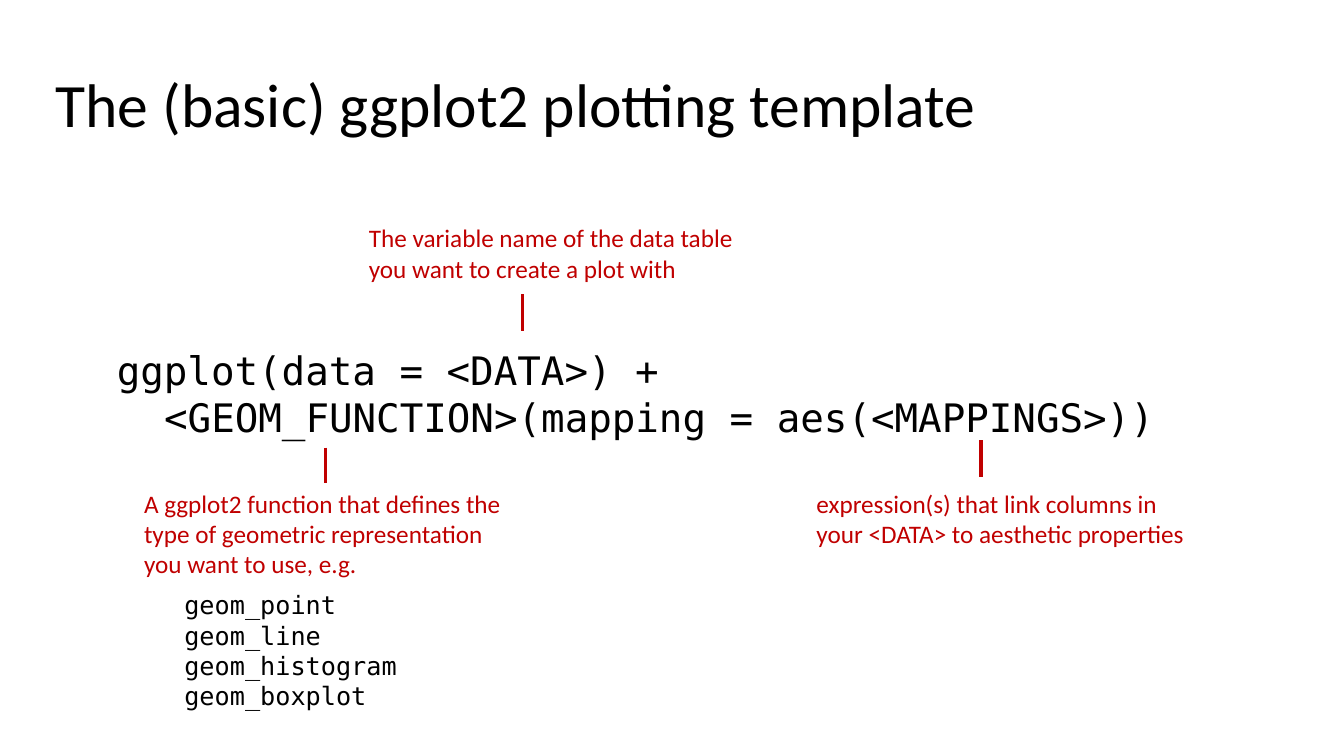
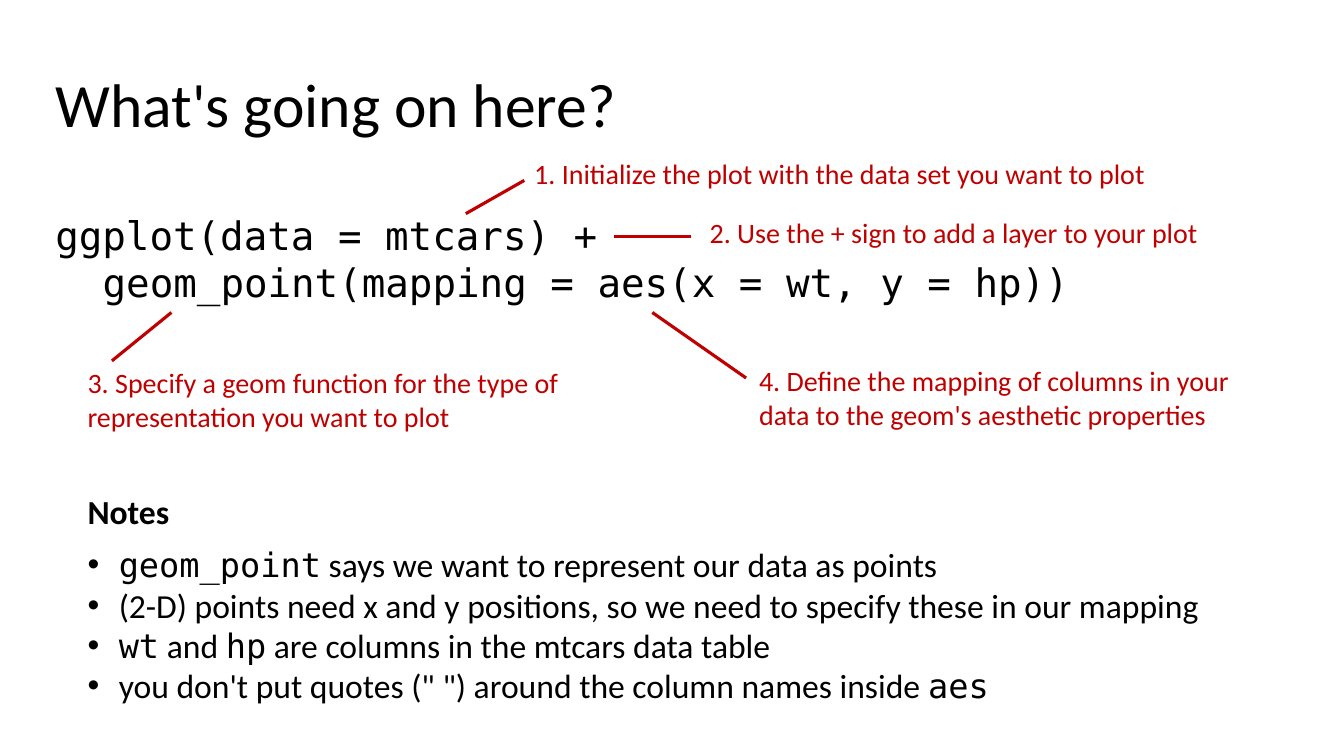
import pptx
import pptx.dml.color
import pptx.enum.shapes
import pptx.enum.text
import pptx.oxml
import pptx.oxml.ns
import pptx.util
from pptx.util import Inches

BLACK = pptx.dml.color.RGBColor(0, 0, 0)
RED = pptx.dml.color.RGBColor(0xC0, 0, 0)
BODY = "Calibri"
CODE = "DejaVu Sans Mono"
NS = pptx.oxml.ns.nsdecls("a")

deck = pptx.Presentation()
deck.slide_width = Inches(13.33)
deck.slide_height = Inches(7.5)


def write(shape, box, lines, size, font=BODY, color=BLACK):
    """Place a shape and fill it; text between backticks is set as code."""
    shape.left, shape.top, shape.width, shape.height = map(Inches, box)
    frame = shape.text_frame
    frame.word_wrap = True
    frame.text = "\n".join(lines)
    for para, line in zip(frame.paragraphs, lines):
        para.text = ""
        for i, part in enumerate(line.split("`")):
            if part:
                run = para.add_run()
                run.text = part
                run.font.name = CODE if i % 2 else font
                run.font.size = pptx.util.Pt(size)
                run.font.color.rgb = color
    return frame


def link(slide, x1, y1, x2, y2):
    line = slide.shapes.add_connector(
        pptx.enum.shapes.MSO_CONNECTOR.STRAIGHT,
        Inches(x1), Inches(y1), Inches(x2), Inches(y2))
    line.line.color.rgb = RED
    line.line.width = pptx.util.Pt(2.25)
    line._element.spPr.append(pptx.oxml.parse_xml(f"<a:effectLst {NS}/>"))


# Title, code position and lines, note size, notes, links
pages = [
    ("The (basic) ggplot2 plotting template", (1.06, 3.39),
     ["ggplot(data = <DATA>) +",
      "<GEOM_FUNCTION>(mapping = aes(<MAPPINGS>))"],
     18,
     [((3.56, 2.16, 3.85, 0.71),
       "The variable name of the data table you want to create a plot with"),
      ((1.33, 4.79, 3.85, 1.01),
       "A ggplot2 function that defines the type of geometric "
       "representation you want to use, e.g."),
      ((8, 4.79, 4, 0.71),
       "expression(s) that link columns in your <DATA> to aesthetic "
       "properties")],
     [(5.18, 2.92, 5.18, 3.28), (3.23, 4.44, 3.23, 4.79),
      (9.73, 4.37, 9.73, 4.73)]),
    ("What's going on here?", (0.45, 2.05),
     ["ggplot(data = mtcars) +",
      "geom_point(mapping = aes(x = wt, y = hp))"],
     20,
     [((5.2, 1.5, 6.42, 0.44),
       "1. Initialize the plot with the data set you want to plot"),
      ((6.94, 2.09, 5.15, 0.44),
       "2. Use the + sign to add a layer to your plot"),
      ((0.77, 3.58, 4.92, 0.77),
       "3. Specify a geom function for the type of representation you "
       "want to plot"),
      ((7.43, 3.56, 4.92, 0.77),
       "4. Define the mapping of columns in your data to the geom's "
       "aesthetic properties")],
     [(5.2, 1.79, 4.62, 2.12), (6.85, 2.35, 6.09, 2.35),
      (1.11, 3.58, 1.7, 3.1), (7.4, 3.75, 6.47, 3.1)]),
]

slides = []
for title, spot, code, size, notes, links in pages:
    slide = deck.slides.add_slide(deck.slide_layouts[5])
    slides.append(slide)
    frame = write(slide.shapes.title, (0.45, 0.65, 12.42, 0.84), [title], 44)
    frame.auto_size = pptx.enum.text.MSO_AUTO_SIZE.NONE
    frame.vertical_anchor = pptx.enum.text.MSO_ANCHOR.MIDDLE
    frame.paragraphs[0].alignment = pptx.enum.text.PP_ALIGN.LEFT
    frame.paragraphs[0].line_spacing = 0.9

    frame = write(slide.shapes.add_textbox(0, 0, 0, 0), (*spot, 10.49, 1.04),
                  code, 28, CODE)
    frame.paragraphs[1]._p.get_or_add_pPr().set("marL", str(Inches(0.47)))

    for box, note in notes:
        write(slide.shapes.add_textbox(0, 0, 0, 0), box, [note], size,
              color=RED)
    for ends in links:
        link(slide, *ends)

# Sample geom functions
write(slides[0].shapes.add_textbox(0, 0, 0, 0), (1.73, 5.8, 2.4, 1.31),
      ["geom_point", "geom_line", "geom_histogram", "geom_boxplot"], 18, CODE)

# Closing notes
shapes = slides[1].shapes
frame = write(shapes.add_textbox(0, 0, 0, 0), (0.77, 4.82, 1.1, 0.5),
              ["Notes"], 24)
frame.paragraphs[0].runs[0].font.bold = True
frame = write(
    shapes.add_textbox(0, 0, 0, 0), (0.77, 5.35, 11.5, 1.72),
    ["`geom_point` says we want to represent our data as points",
     "(2-D) points need x and y positions, so we need to specify these in "
     "our mapping",
     "`wt` and `hp` are columns in the mtcars data table",
     "you don't put quotes (\" \") around the column names inside `aes`"], 24)
for para in frame.paragraphs:
    props = para._p.get_or_add_pPr()
    props.set("marL", str(Inches(0.31)))
    props.set("indent", str(-Inches(0.31)))
    props.append(pptx.oxml.parse_xml(f'<a:buFont {NS} typeface="Arial"/>'))
    props.append(pptx.oxml.parse_xml(f'<a:buChar {NS} char="•"/>'))

deck.save("out.pptx")
